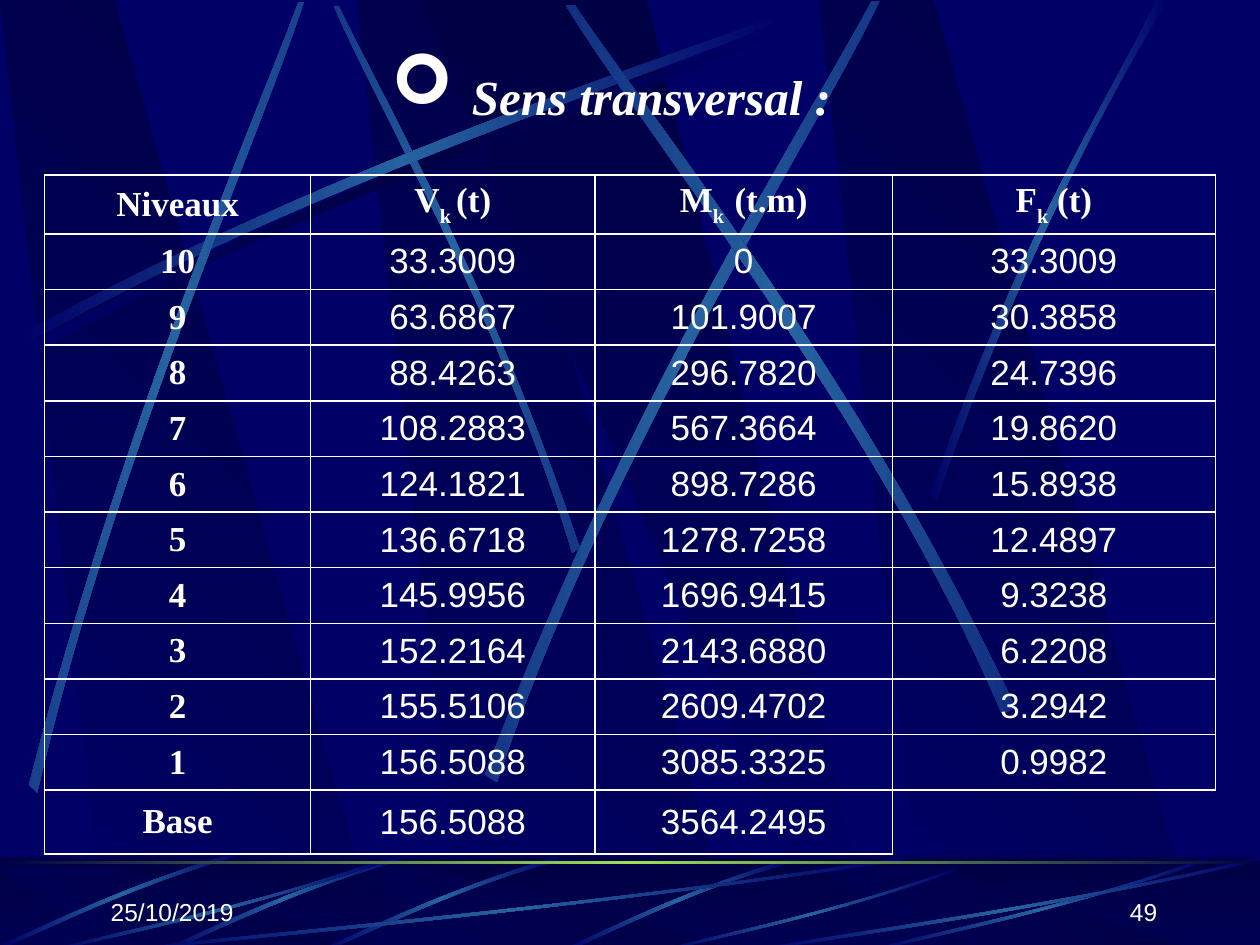
from math import cos, radians, sin

from lxml import etree
from pptx import Presentation
from pptx.dml.color import RGBColor
from pptx.enum.shapes import MSO_SHAPE
from pptx.enum.text import MSO_ANCHOR, PP_ALIGN
from pptx.oxml.ns import qn
from pptx.util import Pt

RECTANGLE = MSO_SHAPE.RECTANGLE
LEFT, CENTER, RIGHT = PP_ALIGN.LEFT, PP_ALIGN.CENTER, PP_ALIGN.RIGHT
TOP, MIDDLE, BOTTOM = MSO_ANCHOR.TOP, MSO_ANCHOR.MIDDLE, MSO_ANCHOR.BOTTOM

NAVY = RGBColor(0x00, 0x00, 0x66)
DARK = RGBColor(0x00, 0x00, 0x44)
STEEL = RGBColor(0x26, 0x63, 0xA0)
LIME = RGBColor(0x9C, 0xE1, 0x57)
WHITE = RGBColor(0xFF, 0xFF, 0xFF)
SERIF, SANS, SPACER = "Times New Roman", "Arial", "Montserrat"
BEAM = (NAVY, STEEL, NAVY)

# Outlines as fractions of their box
PANEL = [(0.28, 1), (1, 1), (0.3, 0), (0, 0)]
WEDGE = [(0, 0), (0.9, 1), (1, 1), (0.5, 0)]
# Streaks: one cubic curve out, one cubic curve back
FLAT = [(0, 0.96), (0.43, 0.43), (0.83, 0.15), (1, 0),
        (1, 0.02), (0.83, 0.19), (0.38, 0.5), (0, 1)]
STEEP = [(0, 0.99), (0.35, 0.52), (0.81, 0.16), (0.98, 0),
         (1, 0), (0.84, 0.17), (0.31, 0.58), (0.03, 1)]
TAPER = [(0, 0.99), (0.4, 0.44), (0.79, 0.17), (0.95, 0),
         (1, 0), (0.52, 0.37), (0.16, 0.81), (0.03, 1)]
SWEEP = [(1, 0.04), (0.57, 0.57), (0.17, 0.85), (0, 1),
         (0, 0.98), (0.16, 0.81), (0.62, 0.51), (1, 0)]
ARC = [(0.99, 0), (0.53, 0.33), (0.16, 0.8), (0, 0.97),
       (0.01, 1), (0.17, 0.84), (0.58, 0.31), (1, 0.04)]

HEADINGS = [("Niveaux", "", ""), ("V", "k ", "(t)"), ("M", "k  ", "(t.m)"), ("F", "k", " (t)")]
LEVELS = [
    ("10", "33.3009", "0", "33.3009"),
    ("9", "63.6867", "101.9007", "30.3858"),
    ("8", "88.4263", "296.7820", "24.7396"),
    ("7", "108.2883", "567.3664", "19.8620"),
    ("6", "124.1821", "898.7286", "15.8938"),
    ("5", "136.6718", "1278.7258", "12.4897"),
    ("4", "145.9956", "1696.9415", "9.3238"),
    ("3", "152.2164", "2143.6880", "6.2208"),
    ("2", "155.5106", "2609.4702", "3.2942"),
    ("1", "156.5088", "3085.3325", "0.9982"),
    ("Base", "156.5088", "3564.2495", ""),
]


def shade(shape, colors, angle):
    """Fill with evenly spaced gradient stops; angle is in degrees clockwise."""
    shape.shadow.inherit = False
    shape.line.fill.background()
    shape.fill.gradient()
    shape.fill.gradient_angle = (360 - angle) % 360
    gradient = shape._element.spPr.find(qn("a:gradFill"))
    gradient.set("rotWithShape", "0")
    stops = gradient.find(qn("a:gsLst"))
    for stop in list(stops):
        stops.remove(stop)
    for index, color in enumerate(colors):
        position = str(100000 * index // (len(colors) - 1))
        stop = etree.SubElement(stops, qn("a:gs"), pos=position)
        etree.SubElement(stop, qn("a:srgbClr"), val=str(color))


def add_outline(page, points, colors, angle):
    corners = [(Pt(x), Pt(y)) for x, y in points]
    builder = page.shapes.build_freeform(*corners[0])
    builder.add_line_segments(corners[1:], close=True)
    outline = builder.convert_to_shape()
    shade(outline, colors, angle)
    return outline


def place(box, fractions):
    left, top, width, height = box
    return [(left + x * width, top + y * height) for x, y in fractions]


def rotate(point, center, angle):
    x, y = point[0] - center[0], point[1] - center[1]
    cosine, sine = cos(radians(angle)), sin(radians(angle))
    return center[0] + x * cosine - y * sine, center[1] + x * sine + y * cosine


def bend(outline):
    """Turn the two runs of three line segments into cubic curves."""
    segments = list(outline._element.iter(qn("a:lnTo")))
    for run in (segments[:3], segments[4:7]):
        curve = etree.Element(qn("a:cubicBezTo"))
        run[0].addprevious(curve)
        for segment in run:
            curve.append(segment[0])
            segment.getparent().remove(segment)


def add_streak(page, box, controls, turn=0, colors=BEAM, mirrored=False):
    """The box bounds the streak after it has been turned."""
    if mirrored:
        controls = [(1 - x, y) for x, y in controls]
    pivot = (box[0] + box[2] / 2, box[1] + box[3] / 2)
    points = [rotate(point, pivot, -turn) for point in place(box, controls)]
    middle = [(min(values) + max(values)) / 2 for values in zip(*points)]
    target = rotate(middle, pivot, turn)
    shift = target[0] - middle[0], target[1] - middle[1]
    streak = add_outline(page, [(x + shift[0], y + shift[1]) for x, y in points], colors, 0)
    bend(streak)
    streak.rotation = turn


def add_band(page, box):
    band = page.shapes.add_shape(RECTANGLE, *map(Pt, box))
    band.shadow.inherit = False
    band.line.fill.background()
    return band


def add_panels(page, top, height):
    for left in (203.8, 0, 468):
        add_outline(page, place((left, top, 217.4, height), PANEL), (NAVY, DARK), 315)
    add_outline(page, place((239.8, top, 260, height), WEDGE), (DARK, NAVY), 90)


def add_backdrop(page):
    add_panels(page, 0, 541)
    add_streak(page, (14.4, 13, 438.5, 192.2), FLAT, colors=(NAVY, DARK, NAVY))
    add_streak(page, (190.8, 3.6, 140.4, 312.5), STEEP, 45, mirrored=True)
    add_streak(page, (10.1, 7.2, 438.5, 192.2), FLAT)
    add_streak(page, (16.6, 1.4, 157, 451.5), STEEP, 311.7)
    add_streak(page, (277.2, 0.7, 225.4, 446.4), STEEP, 321.6)
    add_streak(page, (323.3, 2.9, 257, 405.4), STEEP, 34.7, mirrored=True)
    add_streak(page, (531.4, 0, 136, 285.8), TAPER)


def add_footer_strip(page, box):
    left, top, width, height = box
    shade(add_band(page, box), (DARK, NAVY), 90)
    add_panels(page, top + 6, height - 6)
    veil = add_band(page, box)
    veil.fill.solid()
    veil.fill.fore_color.rgb = DARK
    color = veil._element.spPr.find(qn("a:solidFill"))[0]
    etree.SubElement(color, qn("a:alpha"), val="50000")

    add_streak(page, (left + 322.6, top + 1.4, 129.6, 52.6), ARC)
    for offset, rise in ((184.3, 0), (94.3, 0), (1.4, 2.5)):
        add_streak(page, (left + offset, top - rise, 135.4, 54), ARC, 315)
    for offset, drop, length in ((72, 0, 444.2), (30.2, 0, 192), (379.4, 6.5, 166.3),
                                 (498.2, 0, 192), (432, 0, 288)):
        add_streak(page, (left + offset, top + drop, length, height - drop), SWEEP)
    shade(add_band(page, (left, top + 2.6, width, 1.7)), (DARK, LIME, DARK), 0)


def style_span(span, size, font, bold=False):
    span.font.size, span.font.name, span.font.bold = Pt(size), font, bold
    span.font.color.rgb = WHITE


def add_text(page, box, anchor, align):
    """Add an empty wrapped text box and return its paragraph."""
    frame = page.shapes.add_textbox(*map(Pt, box)).text_frame
    frame.word_wrap = True
    frame.vertical_anchor = anchor
    para = frame.paragraphs[0]
    para.alignment = align
    return para


def add_title(page, box):
    para = add_text(page, box, TOP, CENTER)
    properties = para._p.get_or_add_pPr()
    etree.SubElement(properties, qn("a:buFont"), typeface="Wingdings")
    etree.SubElement(properties, qn("a:buChar"), char="➢")
    spacer, title = para.add_run(), para.add_run()
    spacer.text, title.text = " ", "Sens transversal\u00a0:"
    style_span(spacer, 40, SPACER)
    style_span(title, 28, SERIF, bold=True)
    title.font.italic = True


def add_footer_text(page, box, text, align):
    para = add_text(page, box, BOTTOM, align)
    para.text = text
    style_span(para.runs[0], 14, SANS)


def add_borders(cell, visible):
    properties = cell._tc.get_or_add_tcPr()
    for side in "LRTB":
        line = etree.SubElement(properties, qn(f"a:ln{side}"), w=str(Pt(1)))
        if side in visible:
            fill = etree.SubElement(line, qn("a:solidFill"))
            etree.SubElement(fill, qn("a:srgbClr"), val=str(WHITE))
        else:
            etree.SubElement(line, qn("a:noFill"))


def fill_cell(cell, parts, font, bold):
    """Write the parts in turn; the second one is a subscript."""
    cell.vertical_anchor = MIDDLE
    cell.margin_top = cell.margin_bottom = Pt(2.7)
    para = cell.text_frame.paragraphs[0]
    para.alignment = CENTER
    for index, part in enumerate(parts):
        if part:
            span = para.add_run()
            span.text = part
            style_span(span, 20, font, bold)
            if index == 1:
                span.font._element.set("baseline", "-30000")
    add_borders(cell, "LRTB" if parts[0] else "LT")
    cell.fill.background()


def add_levels_table(page, box):
    rows = [HEADINGS] + [[(value,) for value in level] for level in LEVELS]
    table = page.shapes.add_table(len(rows), len(HEADINGS), *map(Pt, box)).table
    table.first_row = table.horz_banding = False
    for column, width in zip(table.columns, (152, 162.5, 170, 184.5)):
        column.width = Pt(width)
    for index, row in enumerate(rows):
        table.rows[index].height = Pt(36.5 if index == len(rows) - 1 else 31.8)
        for position, parts in enumerate(row):
            is_label = index == 0 or position == 0
            fill_cell(table.cell(index, position), parts, SERIF if is_label else SANS, is_label)


def main():
    deck = Presentation()
    deck.slide_width, deck.slide_height = Pt(720), Pt(540)
    page = deck.slides.add_slide(deck.slide_layouts[6])
    page.background.fill.solid()
    page.background.fill.fore_color.rgb = NAVY
    add_backdrop(page)
    add_footer_strip(page, (0, 489.6, 720, 54))
    add_footer_text(page, (56.2, 496.8, 150, 36), "25/10/2019", LEFT)
    add_footer_text(page, (518.4, 496.8, 150, 36), "49", RIGHT)
    add_title(page, (25.2, 22.6, 648, 90))
    add_levels_table(page, (25.5, 100, 669, 385))
    deck.save("out.pptx")


if __name__ == "__main__":
    main()
